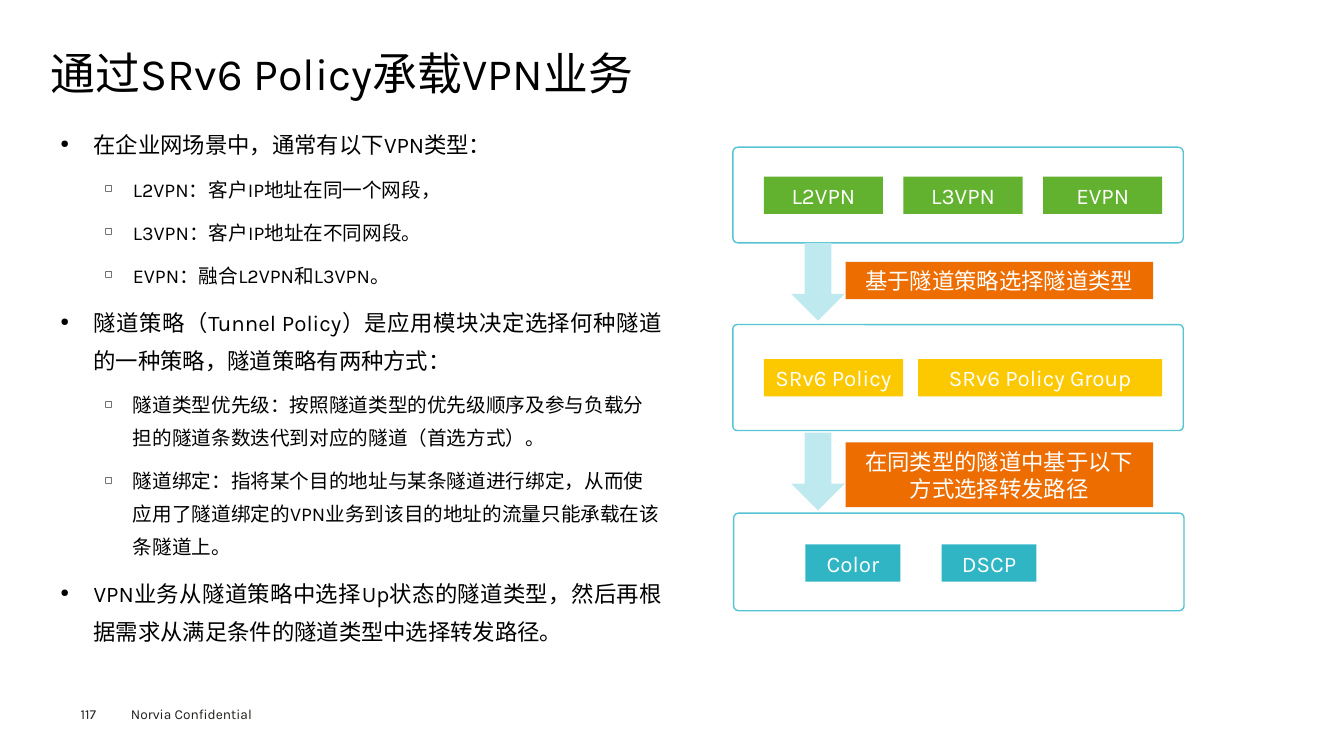
import dataclasses

import lxml.etree
import pptx
import pptx.dml.color
import pptx.enum.shapes
import pptx.enum.text
import pptx.oxml.ns
import pptx.util

Cm, Pt = pptx.util.Cm, pptx.util.Pt
SHAPE = pptx.enum.shapes.MSO_SHAPE
ALIGN = pptx.enum.text.PP_ALIGN
ANCHOR = pptx.enum.text.MSO_ANCHOR
FIT = pptx.enum.text.MSO_AUTO_SIZE
qn = pptx.oxml.ns.qn


@dataclasses.dataclass(frozen=True)
class Theme:
    font: str = "Karla"
    black: str = "000000"
    footer: str = "1D1D1B"
    white: str = "FFFFFF"
    frame: str = "56C4D2"
    arrow: str = "BEE9EE"
    vpn: str = "62B230"
    policy: str = "FCC800"
    path_choice: str = "30B5C5"
    step: str = "ED6D00"
    title_size: float = 32
    main_size: float = 16
    sub_size: float = 14
    footer_size: float = 9.8


T = Theme()


def write(p, text, size, color, **fmt):
    for name, value in fmt.items():
        setattr(p, name, value)
    r = p.add_run()
    r.text = text
    for name, value in {"name": T.font, "size": Pt(size), "bold": False}.items():
        setattr(r.font, name, value)
    r.font.color.rgb = pptx.dml.color.RGBColor.from_string(color)


def add_block(kind, left, top, width, height, fill=None, line=None):
    """Add a flat preset shape, measured in centimetres."""
    sp = s.shapes.add_shape(kind, Cm(left), Cm(top), Cm(width), Cm(height))
    sp.shadow.inherit = False
    for part, color in ((sp.fill, fill), (sp.line.fill, line)):
        if color:
            part.solid()
            part.fore_color.rgb = pptx.dml.color.RGBColor.from_string(color)
        else:
            part.background()
    return sp


prs = pptx.Presentation()
prs.slide_width, prs.slide_height = Cm(33.87), Cm(19.05)
s = prs.slides.add_slide(prs.slide_layouts[5])

# Title
title = s.shapes.title
for name, value in {"left": 1.27, "top": 1.24, "width": 31.37, "height": 1.35}.items():
    setattr(title, name, Cm(value))
tf = title.text_frame
for name, value in {"margin_left": 0, "margin_right": 0, "margin_top": 0, "margin_bottom": 0,
                    "auto_size": FIT.NONE, "vertical_anchor": ANCHOR.MIDDLE}.items():
    setattr(tf, name, value)
write(tf.paragraphs[0], "通过SRv6 Policy承载VPN业务", T.title_size, T.black,
      alignment=ALIGN.LEFT, line_spacing=0.9)

# Bulleted text: level, text
points = [
    (0, "在企业网场景中，通常有以下VPN类型："),
    (1, "L2VPN：客户IP地址在同一个网段，"),
    (1, "L3VPN：客户IP地址在不同网段。"),
    (1, "EVPN：融合L2VPN和L3VPN。"),
    (0, "隧道策略（Tunnel Policy）是应用模块决定选择何种隧道的一种策略，隧道策略有两种方式："),
    (1, "隧道类型优先级：按照隧道类型的优先级顺序及参与负载分担的隧道条数迭代到对应的隧道（首选方式）。"),
    (1, "隧道绑定：指将某个目的地址与某条隧道进行绑定，从而使应用了隧道绑定的VPN业务到该目的地址的流量只能承载在该条隧道上。"),
    (0, "VPN业务从隧道策略中选择Up状态的隧道类型，然后再根据需求从满足条件的隧道类型中选择转发路径。"),
]
# Per level: size, space before, bullet, left margin, hanging indent, alignment
levels = [
    (T.main_size, 7.9, "●", 0.84, 0.84, ALIGN.JUSTIFY),
    (T.sub_size, 7.2, "◻", 1.83, 0.71, ALIGN.LEFT),
]
tf = s.shapes.add_textbox(Cm(1.27), Cm(2.92), Cm(15.67), Cm(13.56)).text_frame
tf.word_wrap = True
for i, (level, text) in enumerate(points):
    size, before, bullet, margin, hanging, align = levels[level]
    p = tf.add_paragraph() if i else tf.paragraphs[0]
    pPr = p._p.get_or_add_pPr()
    pPr.set("marL", str(Cm(margin)))
    pPr.set("indent", str(-Cm(hanging)))
    lxml.etree.SubElement(pPr, qn("a:buSzPct")).set("val", "50000")
    lxml.etree.SubElement(pPr, qn("a:buChar")).set("char", bullet)
    write(p, text, size, T.black, level=level, alignment=align, line_spacing=1.4,
          space_before=Pt(before if i else 0))

# Frames: left, top, height, corner radius
for left, top, height, radius in [(18.47, 3.71, 2.41, 0.05),
                                  (18.47, 8.18, 2.67, 0.04),
                                  (18.49, 12.93, 2.46, 0.05)]:
    frame = add_block(SHAPE.ROUNDED_RECTANGLE, left, top, 11.35, height, line=T.frame)
    frame.adjustments[0] = radius
    frame.line.width = Pt(1)

for top in (6.12, 10.9):
    add_block(SHAPE.DOWN_ARROW, 19.94, top, 1.35, 1.96, fill=T.arrow)

# Labels: text, left, top, width, height, fill
bar = 0.94
labels = [(text, 19.25 + 3.52 * i, 4.45, 3, bar, T.vpn)
          for i, text in enumerate(["L2VPN", "L3VPN", "EVPN"])]
labels += [(text, 20.3 + 3.43 * i, 13.72, 2.39, bar, T.path_choice)
           for i, text in enumerate(["Color", "DSCP"])]
labels += [
    ("SRv6 Policy", 19.25, 9.05, 3.51, bar, T.policy),
    ("SRv6 Policy Group", 23.14, 9.05, 6.15, bar, T.policy),
    ("基于隧道策略选择隧道类型", 21.31, 6.6, 7.75, bar, T.step),
    ("在同类型的隧道中基于以下方式选择转发路径", 21.31, 11.15, 7.75, 1.63, T.step),
]
for text, left, top, width, height, fill in labels:
    tf = add_block(SHAPE.RECTANGLE, left, top, width, height, fill=fill).text_frame
    tf.word_wrap = True
    tf.vertical_anchor = ANCHOR.MIDDLE
    write(tf.paragraphs[0], text, T.main_size, T.white, alignment=ALIGN.CENTER)

# Footer: text, left, top, width, height
for text, left, top, width, height in [("117", 1.78, 17.65, 1.4, 0.67),
                                       ("Norvia Confidential", 3.05, 17.65, 4.06, 0.67)]:
    tf = s.shapes.add_textbox(Cm(left), Cm(top), Cm(width), Cm(height)).text_frame
    write(tf.paragraphs[0], text, T.footer_size, T.footer)

prs.save("out.pptx")
